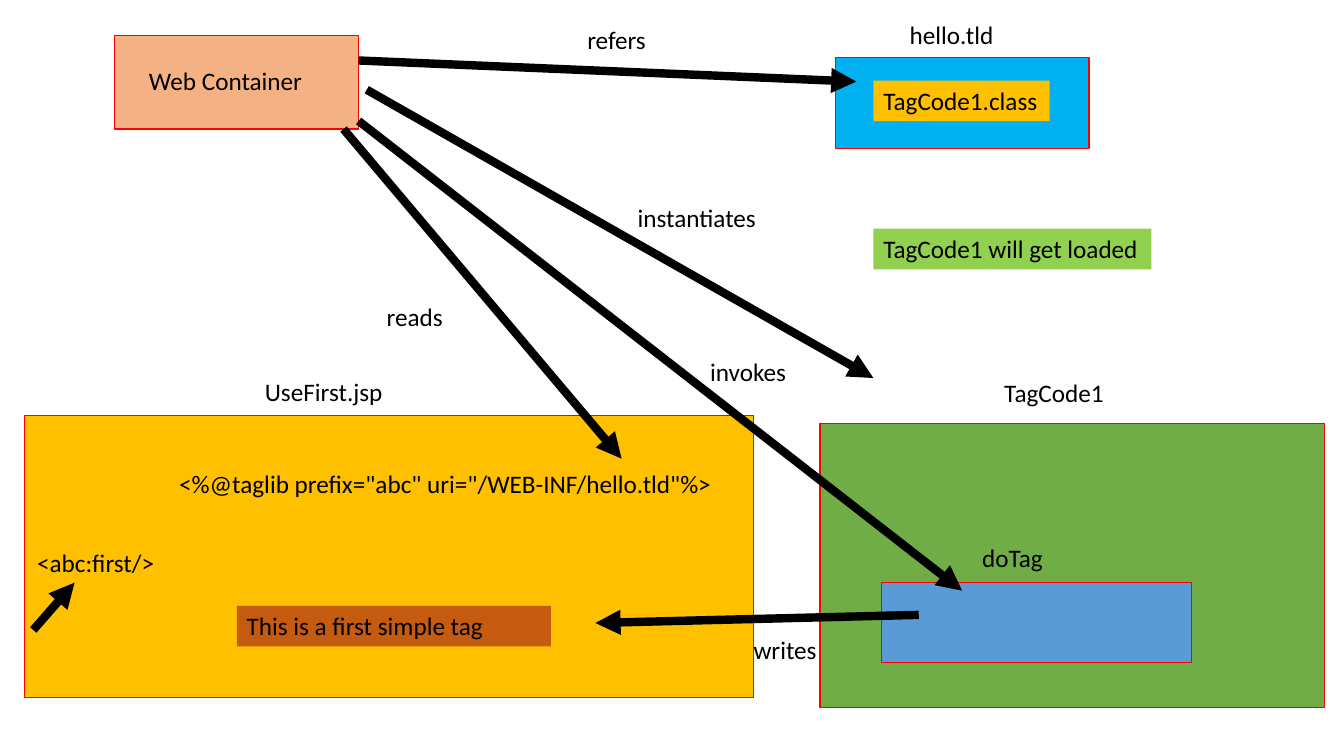
from lxml.etree import SubElement
from pptx import Presentation
from pptx.dml.color import RGBColor
from pptx.enum.shapes import MSO_CONNECTOR, MSO_SHAPE
from pptx.enum.text import MSO_ANCHOR, MSO_AUTO_SIZE, PP_ALIGN
from pptx.oxml.ns import qn
from pptx.util import Pt

BLACK = RGBColor(0x00, 0x00, 0x00)
RED = RGBColor(0xFF, 0x00, 0x00)
GREEN = RGBColor(0x70, 0xAD, 0x47)
LIME = RGBColor(0x92, 0xD0, 0x50)
BLUE = RGBColor(0x5B, 0x9B, 0xD5)
CYAN = RGBColor(0x00, 0xB0, 0xF0)
PEACH = RGBColor(0xF4, 0xB1, 0x83)
AMBER = RGBColor(0xFF, 0xC0, 0x00)
RUST = RGBColor(0xC5, 0x5A, 0x11)

FONT = "Calibri"
LABEL_HEIGHT = 29

BOXES = [
    (586, 302.4, 360.7, 203, GREEN),
    (630, 416.2, 221.8, 56.9, BLUE),
    (82, 25.2, 174.2, 67, PEACH),
    (17.3, 296.6, 521.3, 201.6, AMBER),
    (596.9, 41, 181.4, 64.8, CYAN),
]

LABELS = [
    ("Web Container", 99.4, 43.2, 139.7),
    ("hello.tld", 643, 10.1, 87.8),
    ("UseFirst.jsp", 182.2, 265, 105.1),
    ('<%@taglib prefix="abc" uri="/WEB-INF/hello.tld"%>', 121, 331.2, 417.6),
    ("<abc:first/>", 19.4, 387.4, 123.8),
    ("TagCode1", 710.6, 265.7, 97.2),
    ("doTag", 694.8, 383.8, 110.2),
    ("refers", 412.6, 13.7, 87.1),
    ("instantiates", 448.6, 141.1, 104.4),
    ("reads", 269.3, 211.7, 79.9),
    ("invokes", 500.4, 251.3, 81.4),
    ("writes", 531.4, 449.3, 73.4),
]

FILLED_LABELS = [
    ("TagCode1.class", 624.2, 57.6, 126, AMBER),
    ("TagCode1 will get loaded", 624.2, 163.4, 198.7, LIME),
    ("This is a first simple tag", 169.2, 432.7, 224.6, RUST),
]

ARROWS = [
    (23.8, 450, 53.3, 416.2),
    (245.5, 92.2, 444.2, 327.6),
    (256.3, 43.2, 612, 58.3),
    (262.1, 64.1, 624.2, 270),
    (256.3, 86.4, 687.6, 421.9),
    (656.6, 439.2, 425.5, 445),
]


def add_box(page, left, top, width, height, color):
    """Draw a filled rectangle with a thin red outline."""
    box = page.shapes.add_shape(
        MSO_SHAPE.RECTANGLE, Pt(left), Pt(top), Pt(width), Pt(height)
    )
    box.shadow.inherit = False
    box.fill.solid()
    box.fill.fore_color.rgb = color
    box.line.color.rgb = RED
    box.line.width = Pt(0.75)


def add_label(page, text, left, top, width, color=None):
    """Write one line of text, on a fill if a colour is given."""
    box = page.shapes.add_textbox(Pt(left), Pt(top), Pt(width), Pt(LABEL_HEIGHT))
    if color is not None:
        box.fill.solid()
        box.fill.fore_color.rgb = color
    frame = box.text_frame
    frame.word_wrap = True
    frame.auto_size = MSO_AUTO_SIZE.SHAPE_TO_FIT_TEXT
    frame.vertical_anchor = MSO_ANCHOR.TOP
    para = frame.paragraphs[0]
    para.alignment = PP_ALIGN.LEFT
    span = para.add_run()
    span.text = text
    span.font.name = FONT
    span.font.size = Pt(18)
    span.font.color.rgb = BLACK


def add_arrow(page, start_x, start_y, end_x, end_y):
    """Draw a thick black line with a triangle at its end."""
    arrow = page.shapes.add_connector(
        MSO_CONNECTOR.STRAIGHT, Pt(start_x), Pt(start_y), Pt(end_x), Pt(end_y)
    )
    arrow.line.color.rgb = BLACK
    arrow.line.width = Pt(6)
    SubElement(arrow.line._get_or_add_ln(), qn("a:tailEnd"), type="triangle")
    SubElement(arrow._element.spPr, qn("a:effectLst"))


def main():
    """Build the custom tag flow diagram and save it."""
    deck = Presentation()
    deck.slide_width = Pt(960.48)
    deck.slide_height = Pt(540)
    page = deck.slides.add_slide(deck.slide_layouts[6])
    for box in BOXES:
        add_box(page, *box)
    for label in LABELS + FILLED_LABELS:
        add_label(page, *label)
    for arrow in ARROWS:
        add_arrow(page, *arrow)
    deck.save("out.pptx")


if __name__ == "__main__":
    main()
